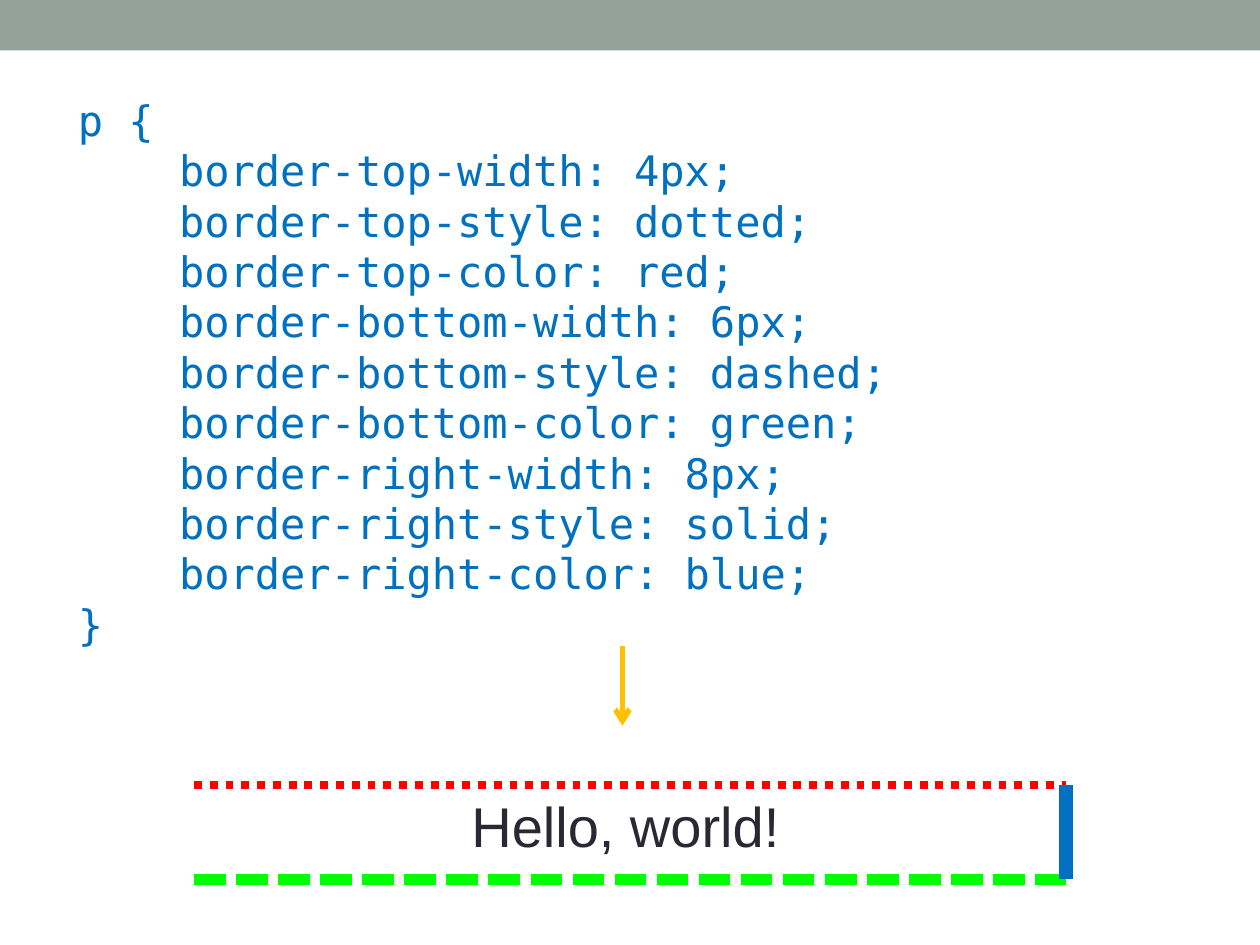
from lxml import etree
from pptx import Presentation
from pptx.dml.color import RGBColor
from pptx.enum.dml import MSO_LINE
from pptx.enum.shapes import MSO_CONNECTOR, MSO_SHAPE
from pptx.enum.text import MSO_AUTO_SIZE, PP_ALIGN
from pptx.oxml.ns import qn
from pptx.util import Inches, Pt

STRAIGHT = MSO_CONNECTOR.STRAIGHT
RECTANGLE = MSO_SHAPE.RECTANGLE
FIT_SHAPE = MSO_AUTO_SIZE.SHAPE_TO_FIT_TEXT
LEFT, CENTER = PP_ALIGN.LEFT, PP_ALIGN.CENTER
DOTTED, DASHED = MSO_LINE.ROUND_DOT, MSO_LINE.DASH
SQUARE_DOT, SHORT_DASH = MSO_LINE.SQUARE_DOT, "sysDash"
BLANK_LAYOUT = 6

CODE_FORMAT = {"name": "DejaVu Sans Mono", "size": Pt(24)}
SAMPLE_FORMAT = {"name": "Arial", "size": Pt(32)}

CODE_LINES = [
    "p {",
    "    border-top-width: 4px;",
    "    border-top-style: dotted;",
    "    border-top-color: red;",
    "    border-bottom-width: 6px;",
    "    border-bottom-style: dashed;",
    "    border-bottom-color: green;",
    "    border-right-width: 8px;",
    "    border-right-style: solid;",
    "    border-right-color: blue;",
    "}",
]

BOX_LEFT, BOX_RIGHT = 1.54, 8.46
BOX_TOP, BOX_BOTTOM = 6.23, 6.98


def color(hex_value):
    return RGBColor.from_string(hex_value)


def add_band(slide, left, top, width, height, fill):
    band = slide.shapes.add_shape(
        RECTANGLE, Inches(left), Inches(top), Inches(width), Inches(height))
    band.shadow.inherit = False
    band.fill.solid()
    band.fill.fore_color.rgb = color(fill)
    band.line.fill.background()


def add_text(slide, left, top, width, height, lines, font_format, font_color,
             alignment=LEFT):
    box = slide.shapes.add_textbox(
        Inches(left), Inches(top), Inches(width), Inches(height))
    frame = box.text_frame
    frame.word_wrap = True
    frame.auto_size = FIT_SHAPE
    frame.text = "\n".join(lines)
    for paragraph in frame.paragraphs:
        paragraph.alignment = alignment
        for name, value in font_format.items():
            setattr(paragraph.font, name, value)
        paragraph.font.color.rgb = color(font_color)


def add_line(slide, start, end, line_color, width, dash=None, arrow=False):
    """Draw a line between two (x, y) points; dash is a DrawingML preset name."""
    connector = slide.shapes.add_connector(
        STRAIGHT, *(Inches(value) for value in (*start, *end)))
    connector.line.color.rgb = color(line_color)
    connector.line.width = Pt(width)
    line_element = connector.line._get_or_add_ln()
    if dash:
        etree.SubElement(line_element, qn("a:prstDash"), val=dash)
    if arrow:
        etree.SubElement(line_element, qn("a:tailEnd"), type="arrow")
    etree.SubElement(connector._element.spPr, qn("a:effectLst"))


def add_borders(slide):
    top_left, top_right = (BOX_LEFT, BOX_TOP), (BOX_RIGHT, BOX_TOP)
    bottom_left, bottom_right = (BOX_LEFT, BOX_BOTTOM), (BOX_RIGHT, BOX_BOTTOM)
    add_line(slide, top_left, top_right, "FF0000", 4.5, dash="sysDot")
    add_line(slide, bottom_left, bottom_right, "00FF00", 6, dash="sysDash")
    add_line(slide, bottom_right, top_right, "0070C0", 8)


def main():
    presentation = Presentation()
    presentation.slide_width = Inches(10)
    presentation.slide_height = Inches(7.5)
    slide = presentation.slides.add_slide(
        presentation.slide_layouts[BLANK_LAYOUT])

    add_band(slide, 0, 0, 10, 0.4, "93A299")
    add_text(slide, 0.52, 0.7, 8.41, 4.54, CODE_LINES, CODE_FORMAT, "0070C0")
    add_line(slide, (4.94, 5.13), (4.94, 5.76), "FFC000", 3, arrow=True)
    add_text(slide, BOX_LEFT, BOX_TOP, 6.85, 0.64, ["Hello, world!"],
             SAMPLE_FORMAT, "292934", CENTER)
    add_borders(slide)

    presentation.save("out.pptx")


if __name__ == "__main__":
    main()
